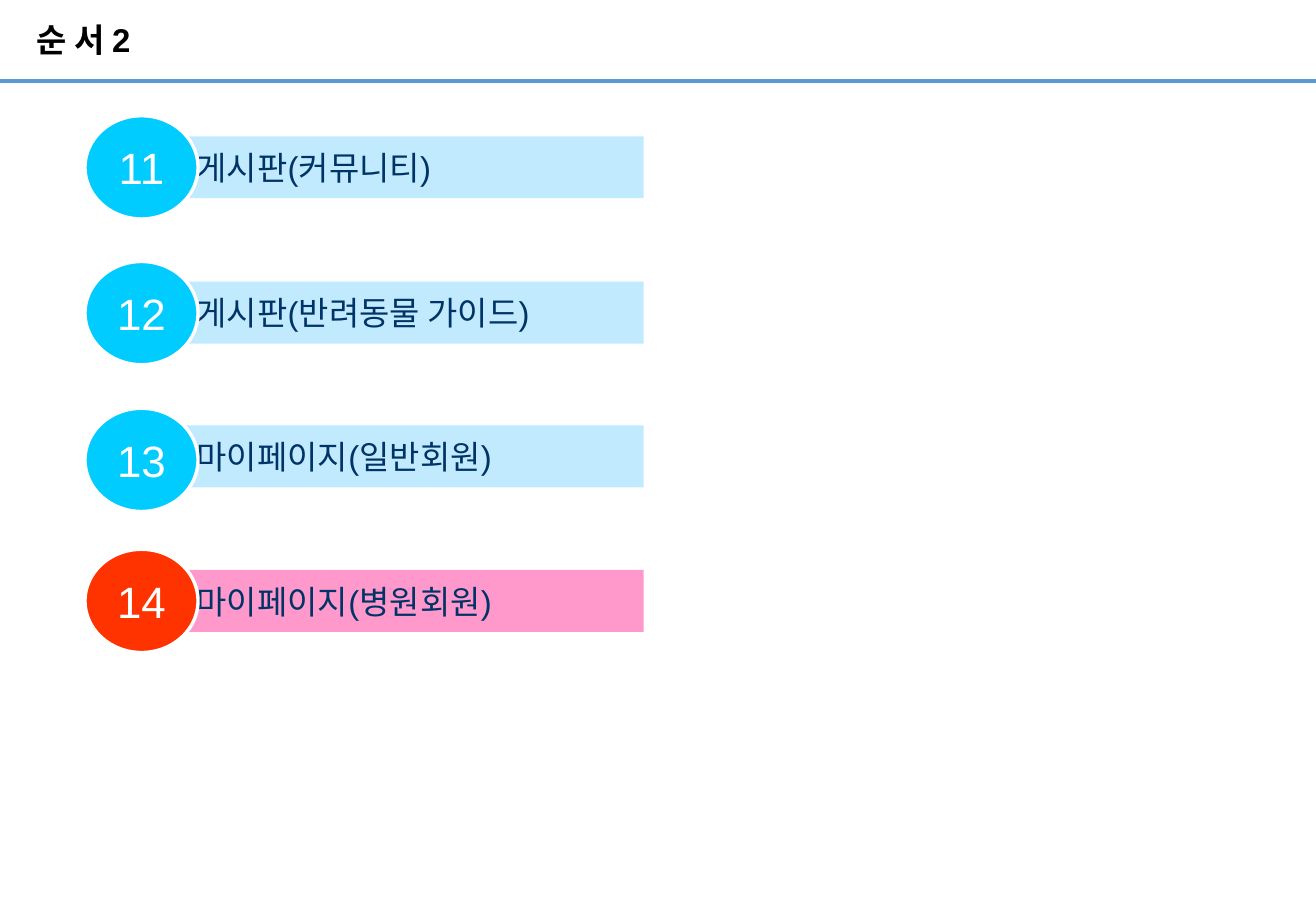
from pptx import Presentation
from pptx.dml.color import RGBColor
from pptx.enum import shapes, text
from pptx.oxml import ns
from pptx.util import Pt
from lxml import etree

COLORS = {"rule": "5B9BD5", "bar": "C1EAFF", "badge": "00CCFF",
          "hot_bar": "FF99CC", "hot_badge": "FF3300",
          "label": "003366", "title": "000000", "white": "FFFFFF"}


def rgb(name):
    return RGBColor.from_string(COLORS[name])


def write(sp, words, size, color, left=7.2, right=7.2, bold=False,
          align=text.PP_ALIGN.LEFT):
    """Put one vertically centred line of text in a shape."""
    tf = sp.text_frame
    frame = {"word_wrap": True, "vertical_anchor": text.MSO_ANCHOR.MIDDLE,
             "margin_left": Pt(left), "margin_right": Pt(right),
             "margin_top": 0, "margin_bottom": 0}
    for name, value in frame.items():
        setattr(tf, name, value)
    p = tf.paragraphs[0]
    p.alignment = align
    r = p.add_run()
    r.text = words
    for name, value in {"name": "Arial", "size": Pt(size), "bold": bold}.items():
        setattr(r.font, name, value)
    r.font.color.rgb = rgb(color)


prs = Presentation()
prs.slide_width, prs.slide_height = Pt(780), Pt(540)
s = prs.slides.add_slide(prs.slide_layouts[6])

rule = s.shapes.add_connector(shapes.MSO_CONNECTOR.STRAIGHT,
                              0, Pt(48.2), prs.slide_width, Pt(48.2))
rule.line.color.rgb = rgb("rule")
rule.line.width = Pt(2.25)
etree.SubElement(rule._element.spPr, ns.qn("a:effectLst"))

title = s.shapes.add_textbox(Pt(21.6), 0, Pt(510.5), Pt(49))
write(title, "순 서 2", 19.5, "title", left=0, right=0, bold=True)
title.text_frame.paragraphs[0].line_spacing = 0.9

# number, label, bar top, badge top, colour prefix
items = [("11", "게시판(커뮤니티)", 80.8, 68.6, ""),
         ("12", "게시판(반려동물 가이드)", 167, 155, ""),
         ("13", "마이페이지(일반회원)", 252.2, 242, ""),
         ("14", "마이페이지(병원회원)", 337.8, 325.6, "hot_")]

for number, label, bar_top, badge_top, prefix in items:
    bar = s.shapes.add_shape(shapes.MSO_SHAPE.RECTANGLE,
                             Pt(77), Pt(bar_top), Pt(304.5), Pt(36.7))
    bar.line.fill.background()
    write(bar, label, 19.5, "label", left=39.6)

    badge = s.shapes.add_shape(shapes.MSO_SHAPE.OVAL,
                               Pt(50.4), Pt(badge_top), Pt(67), Pt(61.2))
    badge.line.color.rgb = rgb("white")
    badge.line.width = Pt(2)
    write(badge, number, 26, "white", align=text.PP_ALIGN.CENTER)

    for sp, color in ((bar, "bar"), (badge, "badge")):
        sp.shadow.inherit = False
        sp.fill.solid()
        sp.fill.fore_color.rgb = rgb(prefix + color)

prs.save("out.pptx")
